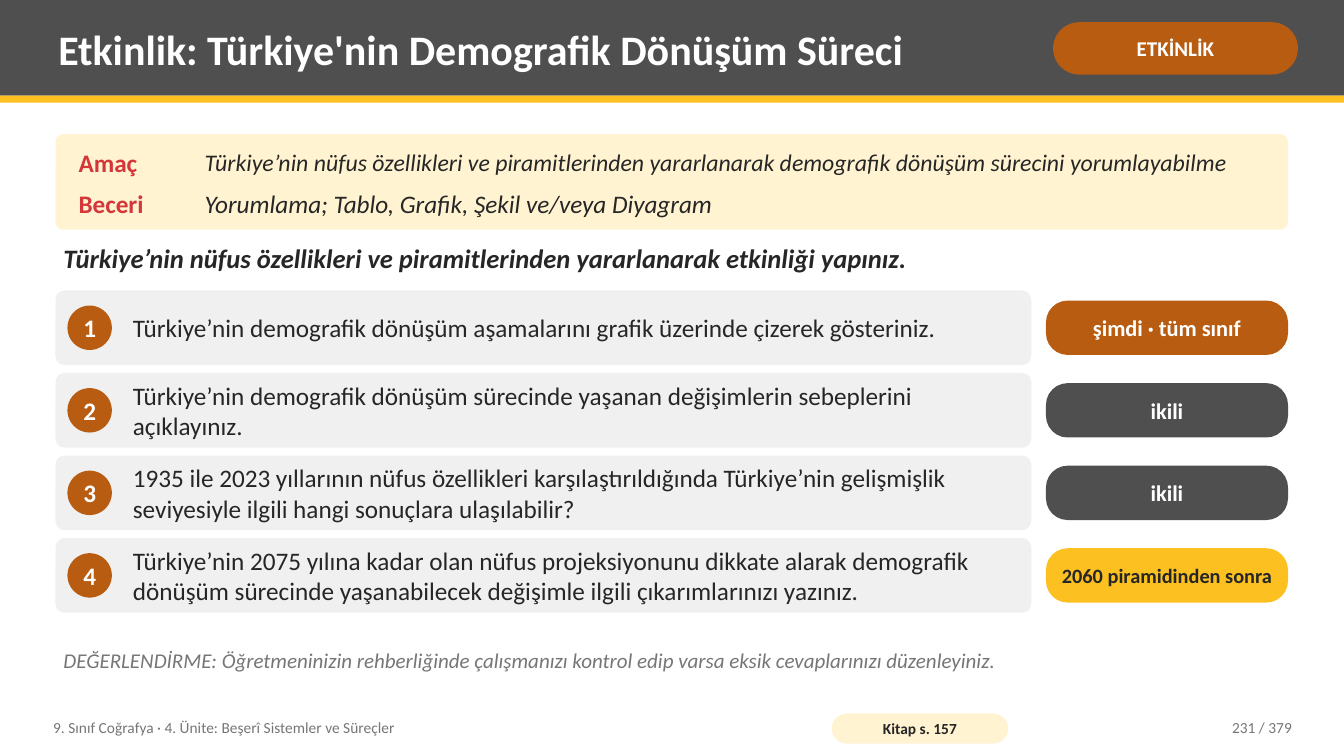
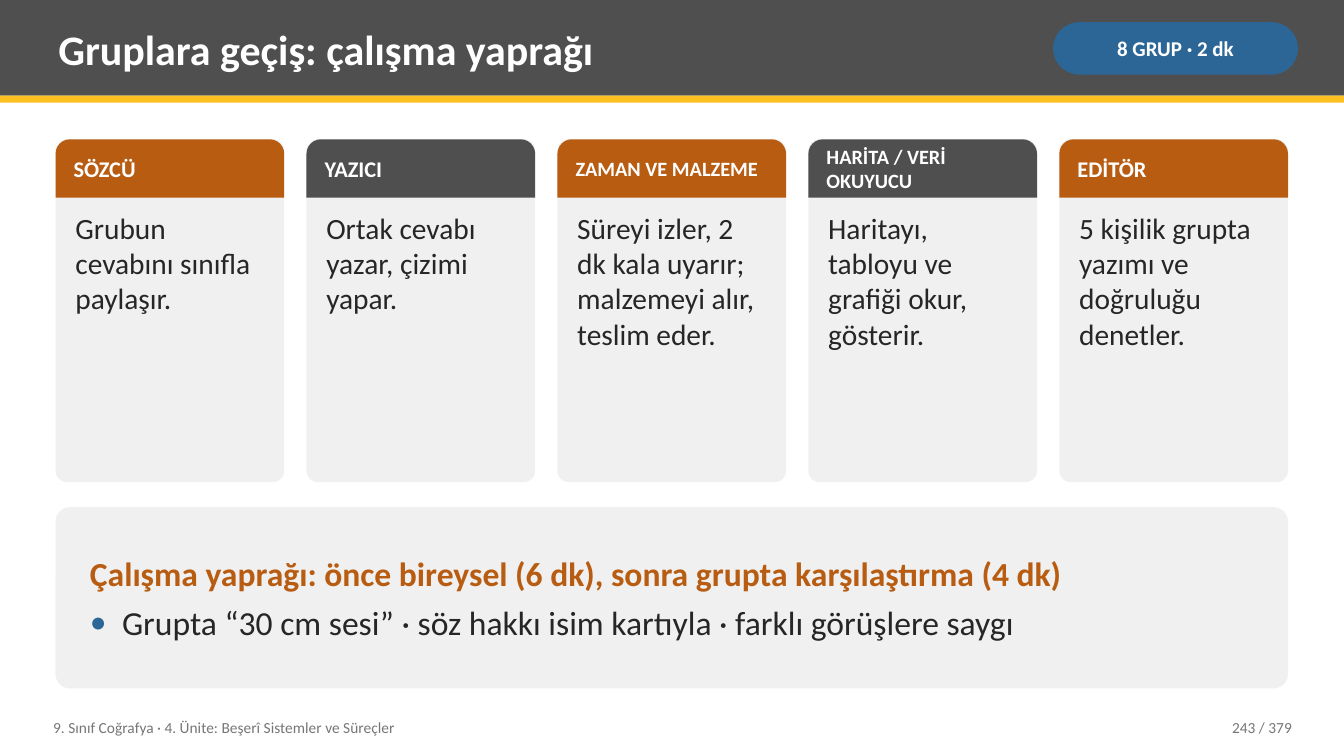
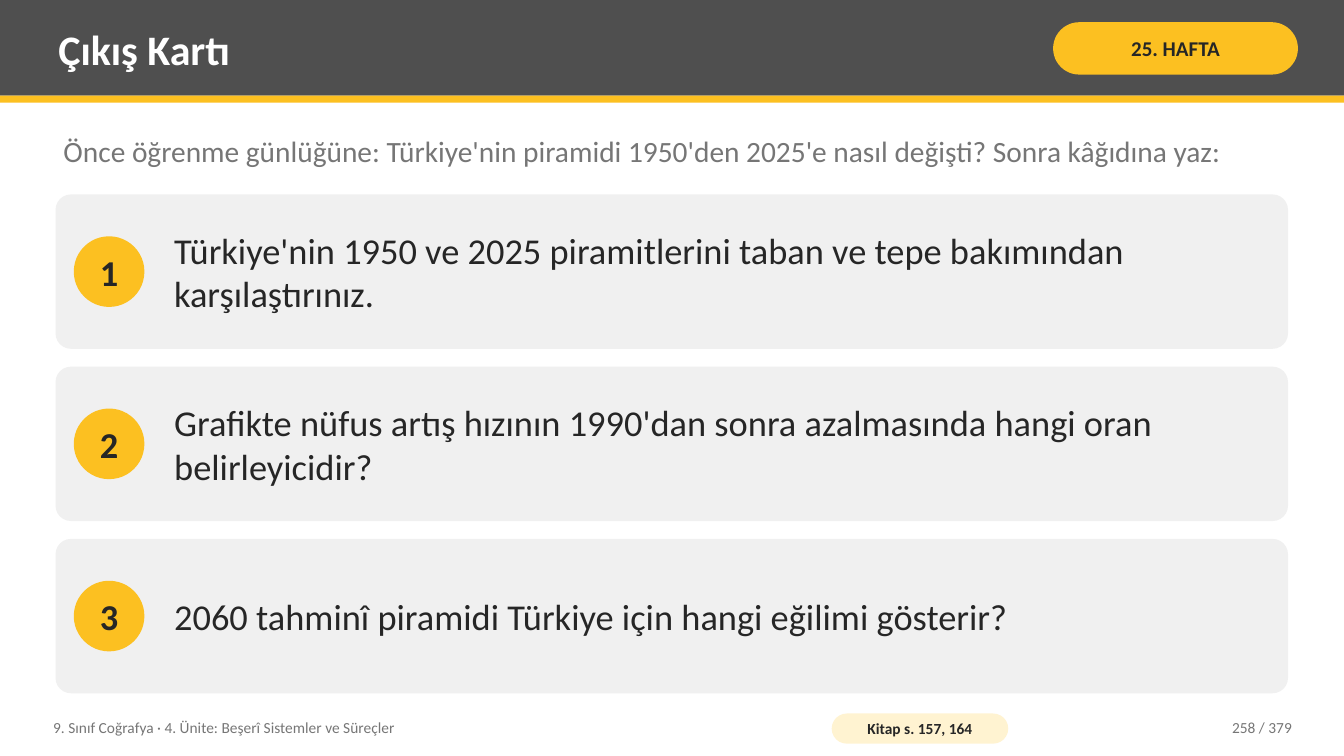
from lxml import etree
from pptx import Presentation
from pptx import util as u
from pptx.dml.color import RGBColor
from pptx.enum import shapes, text
from pptx.oxml.ns import qn

HEX = dict(slate="4F4F4F", gold="FCC021", rust="B85C12", blue="2C6696", red="D3373A",
           cream="FFF3D1", pale="F0F0F0", dark="262626", grey="767676", white="FFFFFF")
KIND = shapes.MSO_SHAPE
TOP, MID = text.MSO_ANCHOR.TOP, text.MSO_ANCHOR.MIDDLE
LEFT, MIDDLE, RIGHT = text.PP_ALIGN.LEFT, text.PP_ALIGN.CENTER, text.PP_ALIGN.RIGHT

FONT = "Calibri"
WIDE, HIGH = 33.87, 19.05
EDGE, SPAN = 1.4, 31.06
UNIT = "9. Sınıf Coğrafya · 4. Ünite: Beşerî Sistemler ve Süreçler"
TOTAL = 379


def rgb(name):
    return RGBColor.from_string(HEX[name])


def ink(fill):
    """Text colour that reads well on a fill."""
    return "dark" if fill in ("gold", "cream") else "white"


def style(par, size, color="dark", align=LEFT, **fmt):
    par.alignment = align
    par.font.color.rgb = rgb(color)
    for key, val in dict(fmt, name=FONT, size=u.Pt(size)).items():
        setattr(par.font, key, val)


def frame(shape, pad, anchor=MID, wrap=True):
    body = shape.text_frame
    sides = ("margin_left", "margin_top", "margin_right", "margin_bottom")
    for side, val in zip(sides, pad):
        setattr(body, side, u.Cm(val))
    body.vertical_anchor, body.word_wrap = anchor, wrap
    return body


def block(sld, kind, box, fill, adj=()):
    shape = sld.shapes.add_shape(kind, *map(u.Cm, box))
    shape.shadow.inherit = False
    shape.fill.solid()
    shape.fill.fore_color.rgb = rgb(fill)
    shape.line.fill.background()
    for i, val in enumerate(adj):
        shape.adjustments[i] = val
    return shape


def label(sld, box, words, size, anchor=MID, **fmt):
    area = sld.shapes.add_textbox(*map(u.Cm, box))
    par = frame(area, (0.2, 0.1, 0.2, 0.1), anchor).paragraphs[0]
    par.text = words
    style(par, size, **fmt)


def badge(sld, kind, box, fill, words, size, adj=(), pad=(0, 0, 0, 0), wrap=True):
    """Filled shape with bold centred text."""
    shape = block(sld, kind, box, fill, adj)
    par = frame(shape, pad, wrap=wrap).paragraphs[0]
    par.text = words
    style(par, size, ink(fill), MIDDLE, bold=True)


def base(deck, title, tag, fill, page, book=None):
    """New slide with title band, tag and footer."""
    sld = deck.slides.add_slide(deck.slide_layouts[6])
    block(sld, KIND.RECTANGLE, (0, 0, WIDE, 2.41), "slate")
    block(sld, KIND.RECTANGLE, (0, 2.41, WIDE, 0.18), "gold")
    label(sld, (1.27, 0.18, 24.77, 2.08), title, 30, color="white", bold=True)
    badge(sld, KIND.ROUNDED_RECTANGLE, (26.54, 0.56, 6.17, 1.32), fill, tag, 15,
          [0.5], (0.13, 0.05, 0.13, 0.05))
    label(sld, (1.14, 17.88, 19.3, 0.91), UNIT, 11, color="grey")
    if book:
        badge(sld, KIND.ROUNDED_RECTANGLE, (20.96, 17.98, 4.45, 0.76), "cream",
              book, 11, [0.5], (0.1, 0, 0.1, 0))
    label(sld, (28.7, 17.88, 4.06, 0.91), f"{page} / {TOTAL}", 11,
          color="grey", align=RIGHT)
    return sld


def item(sld, box, num, words, size, fill, disc, gap, inset, adj):
    """Pale row: numbered disc, then text."""
    x, y, w, h = box
    block(sld, KIND.ROUNDED_RECTANGLE, box, "pale", [adj])
    badge(sld, KIND.OVAL, (x + gap, y + (h - disc) / 2, disc, disc), fill,
          str(num), size, wrap=False)
    label(sld, (x + inset, y, w - inset - gap, h), words, size)


def goals(sld, box, rows):
    """Cream panel of red heads and italic texts."""
    x, y, w, h = box
    block(sld, KIND.ROUNDED_RECTANGLE, box, "cream", [0.08])
    for i, (head, words, size) in enumerate(rows):
        top = y + 0.18 + i * 1.03
        label(sld, (x + 0.38, top, 3.18, 1.06), head, 18, color="red", bold=True)
        label(sld, (x + 3.56, top, w - 4.06, 1.06), words, size, italic=True)


def task(sld, box, num, words, tag, fill, size):
    """Numbered row with a tag at its right end."""
    x, y, w, h = box
    side, tall = 6.1, 1.37
    item(sld, (x, y, w - side - 0.37, h), num, words, 18, "rust", 1.12, 0.3, 1.75, 0.12)
    badge(sld, KIND.ROUNDED_RECTANGLE, (x + w - side, y + (h - tall) / 2, side, tall),
          fill, tag, size, [0.4], (0.13, 0, 0.13, 0))


def card(sld, box, head, size, fill, words):
    """Role card with a coloured head."""
    x, y, w, h = box
    block(sld, KIND.ROUNDED_RECTANGLE, box, "pale", [0.05])
    cap = block(sld, KIND.ROUND_2_SAME_RECTANGLE, (x, y, w, 1.47), fill, [0.25, 0])
    par = frame(cap, (0.35, 0, 0.35, 0.1)).paragraphs[0]
    par.text = head
    style(par, size, "white", bold=True)
    label(sld, (x + 0.3, y + 1.68, w - 0.6, h - 1.88), words, 21, anchor=TOP)


def bullet(par, color, indent):
    props = par._p.get_or_add_pPr()
    props.set("marL", str(u.Cm(indent)))
    props.set("indent", str(-u.Cm(indent)))
    tint = etree.SubElement(props, qn("a:buClr"))
    etree.SubElement(tint, qn("a:srgbClr"), val=HEX[color])
    etree.SubElement(props, qn("a:buFont"), typeface=FONT)
    etree.SubElement(props, qn("a:buChar"), char="•")


def sheet(sld, box, head, point):
    """Worksheet panel: heading and one bullet."""
    panel = block(sld, KIND.ROUNDED_RECTANGLE, box, "pale", [0.08])
    body = frame(panel, (0.76, 0.2, 0.76, 0.2))
    first, second = body.paragraphs[0], body.add_paragraph()
    first.text, second.text = head, point
    first.space_after = u.Pt(6)
    style(first, 24, "rust", bold=True)
    bullet(second, "blue", 0.81)
    style(second, 24)


def activity(deck):
    sld = base(deck, "Etkinlik: Türkiye'nin Demografik Dönüşüm Süreci", "ETKİNLİK",
               "rust", 231, "Kitap s. 157")
    goals(sld, (EDGE, 3.38, SPAN, 2.41), [
        ("Amaç", "Türkiye’nin nüfus özellikleri ve piramitlerinden yararlanarak "
         "demografik dönüşüm sürecini yorumlayabilme", 17),
        ("Beceri", "Yorumlama; Tablo, Grafik, Şekil ve/veya Diyagram", 18)])
    label(sld, (EDGE, 5.99, SPAN, 1.14), "Türkiye’nin nüfus özellikleri ve "
          "piramitlerinden yararlanarak etkinliği yapınız.", 19, TOP,
          bold=True, italic=True)
    tasks = [
        ("Türkiye’nin demografik dönüşüm aşamalarını grafik üzerinde çizerek gösteriniz.",
         "şimdi · tüm sınıf", "rust", 16),
        ("Türkiye’nin demografik dönüşüm sürecinde yaşanan değişimlerin sebeplerini "
         "açıklayınız.", "ikili", "slate", 16),
        ("1935 ile 2023 yıllarının nüfus özellikleri karşılaştırıldığında Türkiye’nin "
         "gelişmişlik seviyesiyle ilgili hangi sonuçlara ulaşılabilir?",
         "ikili", "slate", 16),
        ("Türkiye’nin 2075 yılına kadar olan nüfus projeksiyonunu dikkate alarak "
         "demografik dönüşüm sürecinde yaşanabilecek değişimle ilgili çıkarımlarınızı "
         "yazınız.", "2060 piramidinden sonra", "gold", 14.5)]
    for i, row in enumerate(tasks):
        task(sld, (EDGE, 7.32 + i * 2.08, SPAN, 1.88), i + 1, *row)
    label(sld, (EDGE, 16.21, SPAN, 1.22), "DEĞERLENDİRME: Öğretmeninizin rehberliğinde "
          "çalışmanızı kontrol edip varsa eksik cevaplarınızı düzenleyiniz.", 15, TOP,
          color="grey", italic=True)


def groups(deck):
    sld = base(deck, "Gruplara geçiş: çalışma yaprağı", "8 GRUP · 2 dk", "blue", 243)
    roles = [
        ("SÖZCÜ", 16, "Grubun cevabını sınıfla paylaşır."),
        ("YAZICI", 16, "Ortak cevabı yazar, çizimi yapar."),
        ("ZAMAN VE MALZEME", 14.5,
         "Süreyi izler, 2 dk kala uyarır; malzemeyi alır, teslim eder."),
        ("HARİTA / VERİ OKUYUCU", 14.5, "Haritayı, tabloyu ve grafiği okur, gösterir."),
        ("EDİTÖR", 16, "5 kişilik grupta yazımı ve doğruluğu denetler.")]
    gap = 0.56
    wide = (SPAN - gap * (len(roles) - 1)) / len(roles)
    for i, (head, size, words) in enumerate(roles):
        card(sld, (EDGE + i * (wide + gap), 3.51, wide, 8.64), head, size,
             ("rust", "slate")[i % 2], words)
    sheet(sld, (EDGE, 12.78, SPAN, 4.57),
          "Çalışma yaprağı: önce bireysel (6 dk), sonra grupta karşılaştırma (4 dk)",
          "Grupta “30 cm sesi” · söz hakkı isim kartıyla · farklı görüşlere saygı")


def ticket(deck):
    sld = base(deck, "Çıkış Kartı", "25. HAFTA", "gold", 258, "Kitap s. 157, 164")
    label(sld, (EDGE, 3.25, SPAN, 1.4), "Önce öğrenme günlüğüne: Türkiye'nin piramidi "
          "1950'den 2025'e nasıl değişti? Sonra kâğıdına yaz:", 21, TOP, color="grey")
    asks = ["Türkiye'nin 1950 ve 2025 piramitlerini taban ve tepe bakımından "
            "karşılaştırınız.",
            "Grafikte nüfus artış hızının 1990'dan sonra azalmasında hangi oran "
            "belirleyicidir?",
            "2060 tahminî piramidi Türkiye için hangi eğilimi gösterir?"]
    for i, words in enumerate(asks):
        item(sld, (EDGE, 4.9 + i * 4.34, SPAN, 3.89), i + 1, words, 26, "gold",
             1.78, 0.46, 2.79, 0.1)


def main():
    deck = Presentation()
    deck.slide_width, deck.slide_height = u.Cm(WIDE), u.Cm(HIGH)
    for build in (activity, groups, ticket):
        build(deck)
    deck.save("out.pptx")


if __name__ == "__main__":
    main()
